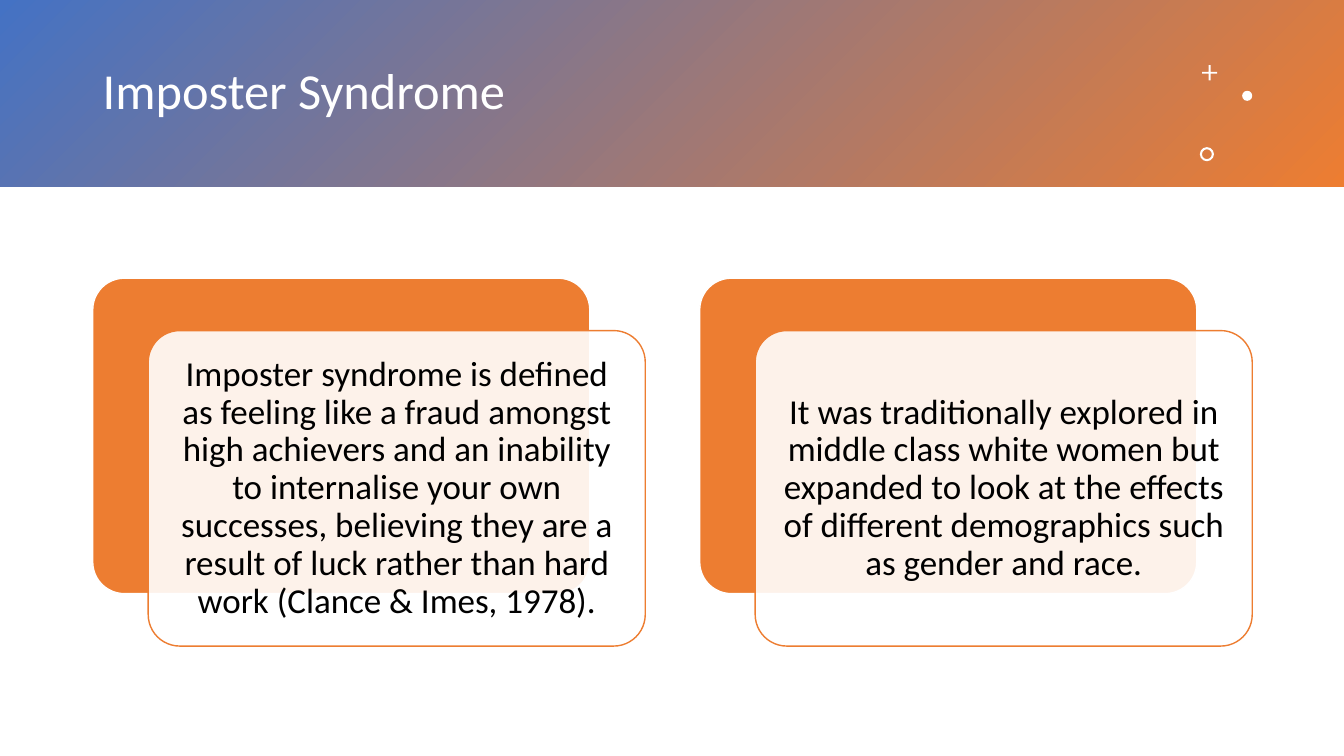
from lxml import etree
from pptx import Presentation
from pptx import util as u
from pptx.dml.color import RGBColor
from pptx.enum import shapes, text
from pptx.oxml.ns import qn

BLUE = RGBColor(0x44, 0x72, 0xC4)
ORANGE = RGBColor(0xED, 0x7D, 0x31)
WHITE = RGBColor(0xFF, 0xFF, 0xFF)
BLACK = RGBColor(0, 0, 0)
WIDTH, HEIGHT = 13.33, 7.5
KIND = shapes.MSO_SHAPE
CARDS = [
    "Imposter syndrome is defined as feeling like a fraud amongst high achievers and an "
    "inability to internalise your own successes, believing they are a result of luck "
    "rather than hard work (Clance & Imes, 1978).",
    "It was traditionally explored in middle class white women but expanded to look at "
    "the effects of different demographics such as gender and race.",
]


def add_block(page, kind, box, fill, line=None, adjust=None, opacity=100):
    """Add a preset shape with a flat fill and an optional thin line."""
    shape = page.shapes.add_shape(kind, *map(u.Inches, box))
    shape.shadow.inherit = False
    shape.fill.solid()
    shape.fill.fore_color.rgb = fill
    if opacity < 100:
        colour = shape.fill._xPr.find(qn("a:solidFill"))[0]
        etree.SubElement(colour, qn("a:alpha")).set("val", str(opacity * 1000))
    if line is None:
        shape.line.fill.background()
    else:
        shape.line.color.rgb = line
        shape.line.width = u.Pt(1)
    if adjust is not None:
        shape.adjustments[0] = adjust
    return shape


def write(shape, words, size, colour, align, margins):
    """Write one wrapped, vertically centred paragraph in a shape."""
    frame = shape.text_frame
    sides = ("left", "top", "right", "bottom")
    layout = {f"margin_{side}": u.Inches(gap) for side, gap in zip(sides, margins)}
    layout |= {"word_wrap": True, "vertical_anchor": text.MSO_ANCHOR.MIDDLE}
    para = frame.paragraphs[0]
    span = para.add_run()
    span.text = words
    span.font.color.rgb = colour
    formats = [
        (frame, layout),
        (para, {"alignment": align, "line_spacing": 0.9}),
        (span.font, {"name": "Calibri", "size": u.Pt(size)}),
    ]
    for target, values in formats:
        for name, value in values.items():
            setattr(target, name, value)


def add_banner(page, box):
    """Draw the gradient banner with its title and three small ornaments."""
    left, top, width, height = box
    band = add_block(page, KIND.RECTANGLE, box, BLUE)
    band.fill.gradient()
    band.fill.gradient_angle = 315
    for stop, colour, position in zip(band.fill.gradient_stops, (BLUE, ORANGE), (0, 1)):
        stop.color.rgb = colour
        stop.position = position

    title_box = (left + 0.92, top + 0.33, 10.75, 1.19)
    title = page.shapes.add_textbox(*map(u.Inches, title_box))
    write(title, "Imposter Syndrome", 36, WHITE, text.PP_ALIGN.LEFT, (0.1, 0.05, 0.1, 0.05))

    ornaments = [
        (KIND.CROSS, 0.9, 0.39, 0.15, 0.44),
        (KIND.OVAL, 0.928, 0.514, 0.1, None),
        (KIND.DONUT, 0.898, 0.827, 0.14, 0.15),
    ]
    for kind, across, down, size, adjust in ornaments:
        place = (left + across * width - size / 2, top + down * height - size / 2, size, size)
        add_block(page, kind, place, WHITE, adjust=adjust)


def add_card(page, box, words):
    """Draw an orange card with a translucent text card stepped in front."""
    left, top, width, height = box
    step_x, step_y = 0.55, 0.52
    size = (width - step_x, height - step_y)
    add_block(page, KIND.ROUNDED_RECTANGLE, (left, top, *size), ORANGE, WHITE, 0.1)
    front = add_block(page, KIND.ROUNDED_RECTANGLE, (left + step_x, top + step_y, *size),
                      WHITE, ORANGE, 0.1, opacity=90)
    write(front, words, 25, BLACK, text.PP_ALIGN.CENTER, (0.1,) * 4)


def add_cards(page, box, gap):
    """Spread the cards in equal columns across the box."""
    left, top, width, height = box
    column = (width - gap * (len(CARDS) - 1)) / len(CARDS)
    for index, words in enumerate(CARDS):
        add_card(page, (left + index * (column + gap), top, column, height), words)


deck = Presentation()
deck.slide_width, deck.slide_height = u.Inches(WIDTH), u.Inches(HEIGHT)
page = deck.slides.add_slide(deck.slide_layouts[6])
add_banner(page, (0, 0, WIDTH, 1.85))
add_cards(page, (0.92, 2.76, 11.5, 3.65), 0.54)
deck.save("out.pptx")
